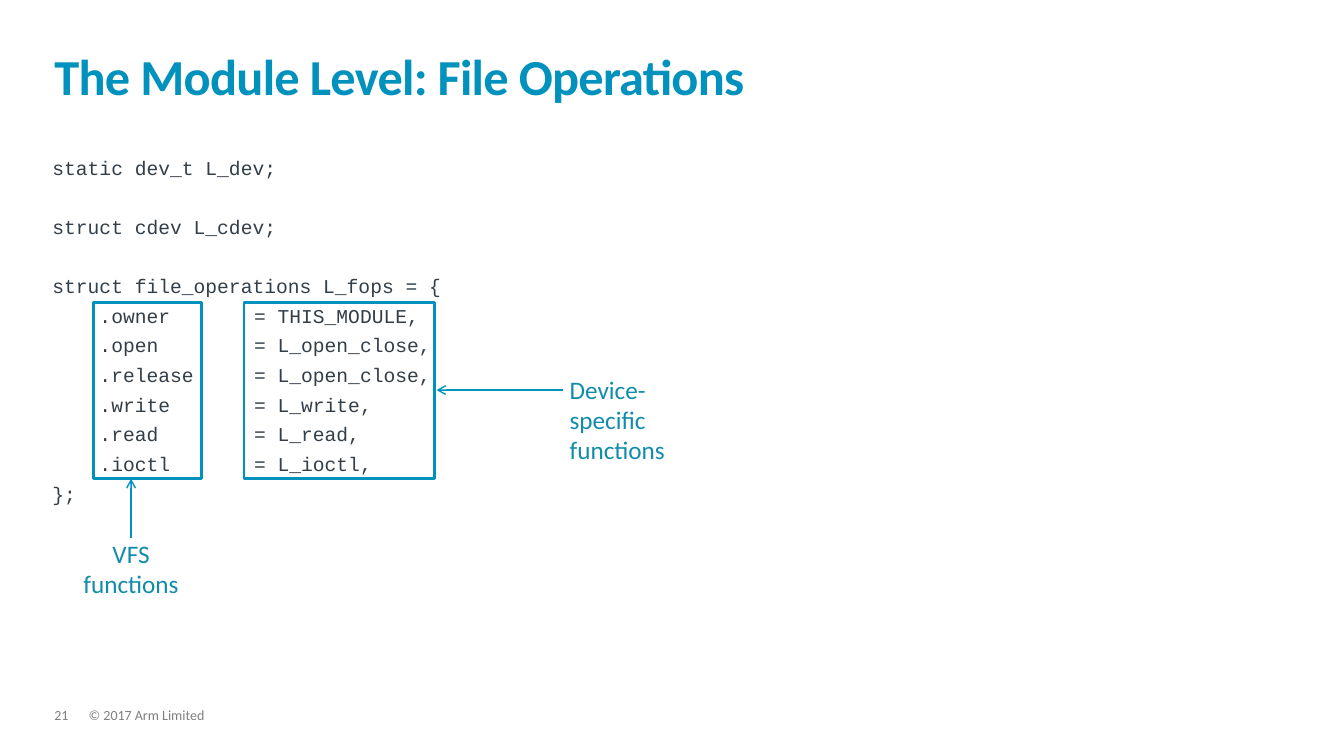
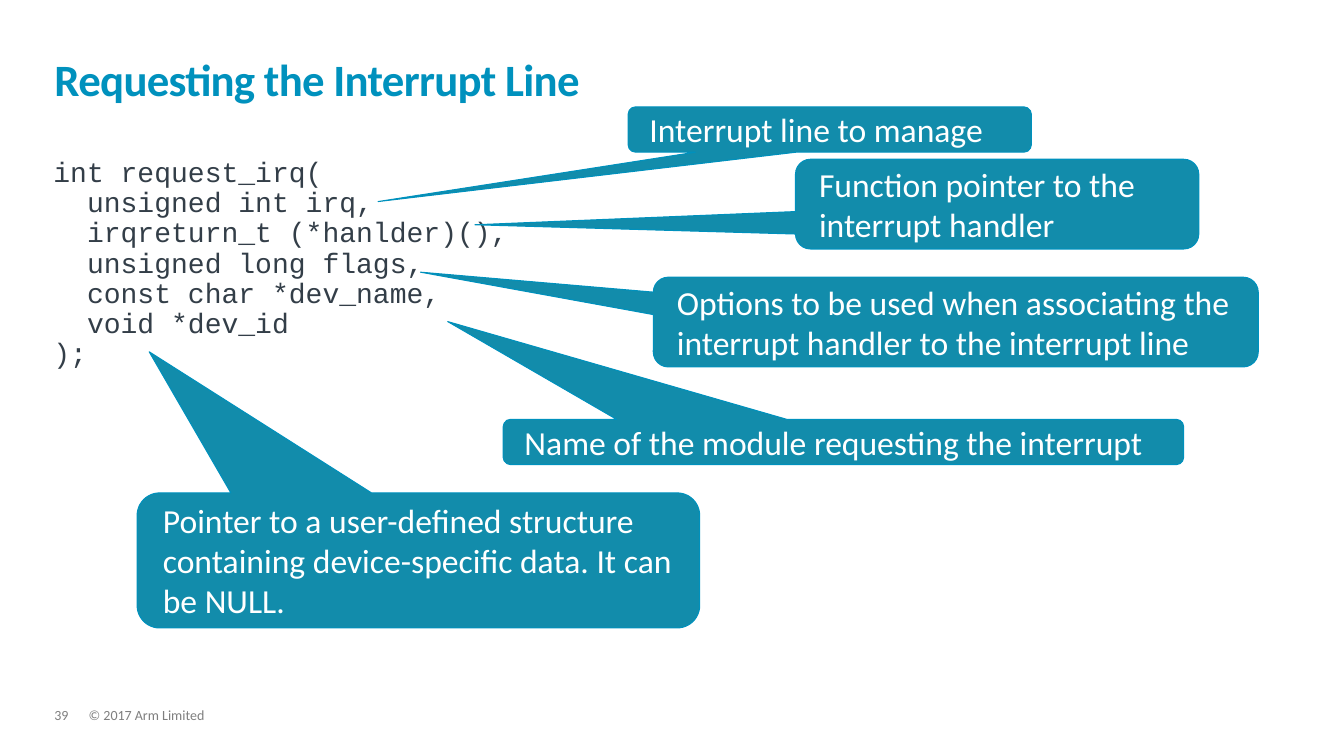
from typing import NamedTuple, Optional

from lxml.etree import SubElement
from pptx import Presentation
from pptx.dml.color import RGBColor
from pptx.enum.shapes import MSO_CONNECTOR, MSO_SHAPE
from pptx.enum.text import MSO_ANCHOR, PP_ALIGN
from pptx.oxml.ns import qn
from pptx.util import Pt

EMU_PER_PX = 9144  # 100 px to the inch
COLORS = {
    "accent": "0091BD",
    "teal": "128CAB",
    "code": "333E48",
    "footer": "7F7F7F",
    "white": "FFFFFF",
}
SANS, MONO = "Calibri", "Courier New"


class Area(NamedTuple):
    left: int
    top: int
    width: int
    height: int


class Label(NamedTuple):
    text: str
    area: Area
    align: PP_ALIGN


class Arrow(NamedTuple):
    start: tuple[int, int]
    end: tuple[int, int]


class Callout(NamedTuple):
    text: str
    area: Area
    tip: tuple[int, int]


TITLE_AREA = Area(54, 32, 1223, 73)
NUMBER_AREA = Area(54, 703, 34, 15)
COPYRIGHT_AREA = Area(88, 703, 913, 15)

# File operations slide
DECLARATIONS = ["static dev_t L_dev;", "struct cdev L_cdev;", "struct file_operations L_fops = {"]
OPERATIONS = {
    "owner": "THIS_MODULE",
    "open": "L_open_close",
    "release": "L_open_close",
    "write": "L_write",
    "read": "L_read",
    "ioctl": "L_ioctl",
}
FRAMES = [Area(93, 300, 107, 175), Area(242, 300, 189, 175)]
ARROWS = [Arrow((130, 534), (130, 475)), Arrow((558, 387), (433, 387))]
LABELS = [
    Label("VFS functions", Area(80, 534, 100, 100), PP_ALIGN.CENTER),
    Label("Device-specific functions", Area(565, 371, 100, 100), PP_ALIGN.LEFT),
]

# Interrupt slide
REQUEST_CODE = [
    "int request_irq(",
    "  unsigned int irq,",
    "  irqreturn_t (*hanlder)(),",
    "  unsigned long flags,",
    "  const char *dev_name,",
    "  void *dev_id",
    ");",
]
CALLOUTS = [
    Callout("Interrupt line to manage", Area(623, 106, 400, 45), (375, 200)),
    Callout("Function pointer to the interrupt handler", Area(789, 158, 400, 89), (471, 223)),
    Callout("Options to be used when associating the interrupt handler to the interrupt line",
            Area(648, 275, 600, 89), (417, 270)),
    Callout("Name of the module requesting the interrupt", Area(499, 416, 675, 45), (444, 319)),
    Callout("Pointer to a user-defined structure containing device-specific data. It can be NULL.",
            Area(136, 489, 558, 134), (148, 349)),
]


def px(*lengths: int) -> list[int]:
    return [length * EMU_PER_PX for length in lengths]


def rgb(name: str) -> RGBColor:
    return RGBColor.from_string(COLORS[name])


def clear_frame(shape, *, left: int = 0, anchor=MSO_ANCHOR.TOP, wrap: bool = True):
    frame = shape.text_frame
    frame.word_wrap = wrap
    frame.vertical_anchor = anchor
    frame.margin_left = left * EMU_PER_PX
    frame.margin_top = frame.margin_right = frame.margin_bottom = 0
    return frame


def write_text(para, text: str, *, size: int, color: str, font: str = SANS, bold: bool = False,
               align=PP_ALIGN.LEFT, line_spacing: Optional[float] = None, before: float = 0,
               after: float = 0, tracking: float = 0, tab: int = 0) -> None:
    para.alignment = align
    para.space_before, para.space_after = Pt(before), Pt(after)
    if line_spacing:
        para.line_spacing = line_spacing
    if tab:
        tabs = SubElement(para._p.get_or_add_pPr(), qn("a:tabLst"))
        SubElement(tabs, qn("a:tab"), pos=str(tab * EMU_PER_PX), algn="l")
    span = para.add_run()
    span.text = text
    span.font.name, span.font.size, span.font.bold = font, Pt(size), bold
    span.font.color.rgb = rgb(color)
    if tracking:
        span._r.get_or_add_rPr().set("spc", str(round(tracking * 100)))


def add_text(slide, area: Area, text: str, *, anchor=MSO_ANCHOR.TOP, wrap: bool = True,
             **style) -> None:
    box = slide.shapes.add_textbox(*px(*area))
    frame = clear_frame(box, anchor=anchor, wrap=wrap)
    write_text(frame.paragraphs[0], text, **style)


def add_code(slide, area: Area, lines: list[str], *, size: int, after: float = 0,
             gaps: Optional[dict[int, float]] = None) -> None:
    frame = clear_frame(slide.shapes.add_textbox(*px(*area)))
    for index, line in enumerate(lines):
        para = frame.add_paragraph() if index else frame.paragraphs[0]
        write_text(para, line, size=size, color="code", font=MONO, line_spacing=0.9, after=after,
                   before=(gaps or {}).get(index, 0), tab=200 if "\t" in line else 0)


def add_frame(slide, area: Area) -> None:
    shape = slide.shapes.add_shape(MSO_SHAPE.RECTANGLE, *px(*area))
    shape.shadow.inherit = False
    shape.fill.background()
    shape.line.color.rgb, shape.line.width = rgb("accent"), Pt(2)


def add_arrow(slide, arrow: Arrow) -> None:
    connector = slide.shapes.add_connector(MSO_CONNECTOR.STRAIGHT, *px(*arrow.start, *arrow.end))
    connector.line.color.rgb, connector.line.width = rgb("accent"), Pt(1)
    SubElement(connector.line._get_or_add_ln(), qn("a:tailEnd"), type="arrow")
    SubElement(connector._element.spPr, qn("a:effectLst"))


def add_callout(slide, callout: Callout) -> None:
    area = callout.area
    shape = slide.shapes.add_shape(MSO_SHAPE.ROUNDED_RECTANGULAR_CALLOUT, *px(*area))
    # The tip is stored relative to the centre, as a share of the size
    shape.adjustments[0] = (callout.tip[0] - area.left) / area.width - 0.5
    shape.adjustments[1] = (callout.tip[1] - area.top) / area.height - 0.5
    shape.shadow.inherit = False
    shape.fill.solid()
    shape.fill.fore_color.rgb = rgb("teal")
    shape.line.color.rgb, shape.line.width = rgb("accent"), Pt(0.75)
    frame = clear_frame(shape, left=19)
    write_text(frame.paragraphs[0], callout.text, size=24, color="white")


def add_slide(deck, title: str, number: int, *, title_size: int):
    slide = deck.slides.add_slide(deck.slide_layouts[6])
    for area, text in ((COPYRIGHT_AREA, "© 2017 Arm Limited"), (NUMBER_AREA, str(number))):
        add_text(slide, area, text, size=10, color="footer", line_spacing=0.9, after=6)
    add_text(slide, TITLE_AREA, title, size=title_size, color="accent", bold=True,
             anchor=MSO_ANCHOR.BOTTOM, line_spacing=0.85, tracking=-0.5)
    return slide


def build_file_operations(deck) -> None:
    slide = add_slide(deck, "The Module Level: File Operations", 21, title_size=36)
    entries = [f"    .{name} \t= {value}," for name, value in OPERATIONS.items()]
    # One empty line's height separates the declarations
    add_code(slide, Area(52, 157, 577, 512), [*DECLARATIONS, *entries, "};"], size=14, after=6,
             gaps={1: 21.2, 2: 21.2})
    for arrow in ARROWS:
        add_arrow(slide, arrow)
    for label in LABELS:
        add_text(slide, label.area, label.text, size=18, color="teal", align=label.align,
                 wrap=False)
    for area in FRAMES:
        add_frame(slide, area)


def build_interrupt_request(deck) -> None:
    slide = add_slide(deck, "Requesting the Interrupt Line", 39, title_size=32)
    add_code(slide, Area(53, 157, 1220, 512), REQUEST_CODE, size=20)
    for callout in CALLOUTS:
        add_callout(slide, callout)


def main() -> None:
    deck = Presentation()
    deck.slide_width, deck.slide_height = px(1333, 750)
    build_file_operations(deck)
    build_interrupt_request(deck)
    deck.save("out.pptx")


if __name__ == "__main__":
    main()
